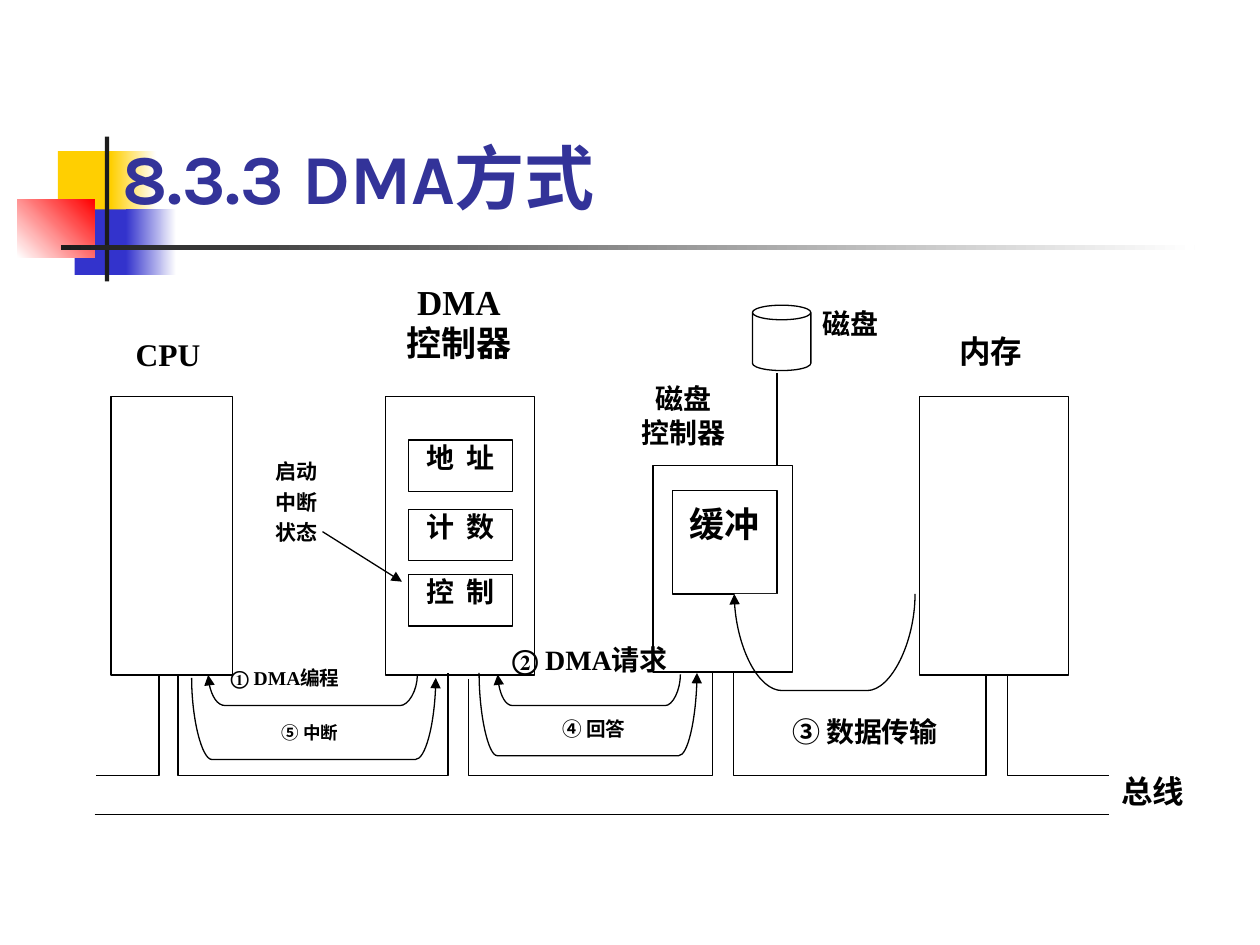
from dataclasses import dataclass
from typing import Optional

from lxml import etree
from pptx import Presentation
from pptx import util as u
from pptx.dml.color import RGBColor
from pptx.enum import shapes, text
from pptx.oxml import ns

COLORS = {"ink": "000000", "white": "FFFFFF", "title": "333399", "yellow": "FFCF01",
          "blue": "3333CC", "red": "FF0000", "bar": "1C1C1C"}
ALIGN = text.PP_ALIGN
LINE_WIDTH = 0.75


@dataclass
class Block:
    left: float
    top: float
    width: float
    height: float
    fill: Optional[str] = "white"
    outlined: bool = True
    fade_to: Optional[str] = None
    angle: float = 0
    kind: int = shapes.MSO_SHAPE.RECTANGLE


@dataclass
class Label:
    left: float
    top: float
    width: float
    height: float
    lines: tuple
    size: float
    align: int = ALIGN.CENTER
    spacing: float = 1
    space_before: float = 0
    insets: tuple = (1.5, 0.75)
    font: str = "Times New Roman"
    fill: Optional[str] = "white"
    outlined: bool = False


@dataclass
class Wire:
    points: tuple
    fill: Optional[str] = "white"


@dataclass
class Trough:
    """A U-shaped arrow with curved sides."""
    left: float
    right: float
    top: float
    bottom: float
    head: bool = False
    tail: bool = False
    fill: Optional[str] = "white"
    corner: Optional[float] = None


@dataclass
class Straight:
    start: tuple
    end: tuple
    tail: bool = False


def color(name: str) -> RGBColor:
    return RGBColor.from_string(COLORS[name])


def add_arrowheads(line, head: bool, tail: bool) -> None:
    for tag, wanted in (("a:headEnd", head), ("a:tailEnd", tail)):
        if wanted:
            etree.SubElement(line._get_or_add_ln(), ns.qn(tag), type="triangle")


def style(shape, fill: Optional[str], outlined: bool) -> None:
    shape.shadow.inherit = False
    if fill:
        shape.fill.solid()
        shape.fill.fore_color.rgb = color(fill)
    else:
        shape.fill.background()
    if outlined:
        shape.line.color.rgb = color("ink")
        shape.line.width = u.Pt(LINE_WIDTH)
    else:
        shape.line.fill.background()


def add_block(slide, block: Block):
    shape = slide.shapes.add_shape(
        block.kind, *map(u.Pt, (block.left, block.top, block.width, block.height)))
    style(shape, block.fill, block.outlined)
    if block.fade_to:
        shape.fill.gradient()
        shape.fill.gradient_angle = block.angle
        for stop, name in zip(shape.fill.gradient_stops, (block.fill, block.fade_to)):
            stop.color.rgb = color(name)
    return shape


def write_run(paragraph, words: str, font: str, size: float, name: str) -> None:
    run = paragraph.add_run()
    run.text = words
    run.font.name = font
    run.font.size = u.Pt(size)
    run.font.bold = True
    run.font.color.rgb = color(name)


def add_label(slide, label: Label) -> None:
    box = (label.left, label.top, label.width, label.height)
    if label.fill:
        shape = add_block(slide, Block(*box, label.fill, label.outlined))
    else:
        shape = slide.shapes.add_textbox(*map(u.Pt, box))
    frame = shape.text_frame
    frame.word_wrap = True
    frame.vertical_anchor = text.MSO_ANCHOR.TOP
    frame.margin_left = frame.margin_right = u.Pt(label.insets[0])
    frame.margin_top = frame.margin_bottom = u.Pt(label.insets[1])
    for index, words in enumerate(label.lines):
        paragraph = frame.add_paragraph() if index else frame.paragraphs[0]
        paragraph.alignment = label.align
        paragraph.line_spacing = label.spacing
        if index:
            paragraph.space_before = u.Pt(label.space_before)
        write_run(paragraph, words, label.font, label.size, "ink")


def add_wire(slide, wire: Wire):
    first, *rest = [tuple(map(u.Pt, point)) for point in wire.points]
    builder = slide.shapes.build_freeform(*first)
    builder.add_line_segments(rest, close=False)
    shape = builder.convert_to_shape()
    style(shape, wire.fill, True)
    return shape


def add_trough(slide, trough: Trough) -> None:
    """Draw the U lying on its side, bend its ends into Bezier curves and turn it upright."""
    middle_x = (trough.left + trough.right) / 2
    middle_y = (trough.top + trough.bottom) / 2
    corner = trough.corner or (trough.right - trough.left) / 12
    side = ((0, trough.top), (0, middle_y), (corner / 2, trough.bottom),
            (corner, trough.bottom))
    upright = ([(trough.left + x, y) for x, y in side]
               + [(trough.right - x, y) for x, y in reversed(side)])
    lying = tuple((middle_x + middle_y - y, middle_y + x - middle_x) for x, y in upright)
    shape = add_wire(slide, Wire(lying, trough.fill))
    shape.rotation = 270
    outline = shape._element.find(".//" + ns.qn("a:path"))
    steps = list(outline)
    for group in (steps[1:4], steps[5:8]):
        curve = etree.Element(ns.qn("a:cubicBezTo"))
        group[0].addprevious(curve)
        for step in group:
            curve.append(step[0])
            outline.remove(step)
    add_arrowheads(shape.line, trough.head, trough.tail)


def add_straight(slide, straight: Straight) -> None:
    connector = slide.shapes.add_connector(
        shapes.MSO_CONNECTOR.STRAIGHT, *map(u.Pt, straight.start + straight.end))
    connector.line.color.rgb = color("ink")
    connector.line.width = u.Pt(LINE_WIDTH)
    add_arrowheads(connector.line, False, straight.tail)
    etree.SubElement(connector._element.spPr, ns.qn("a:effectLst"))


DECORATION = [
    Block(33.1, 86.4, 37.5, 37.4, "yellow", False),
    Block(63.4, 86.4, 25.9, 37.4, "yellow", False, "white"),
    Block(42.6, 119.7, 33.1, 37.4, "blue", False),
    Block(72, 119.7, 28.8, 37.4, "blue", False, "white"),
    Block(10, 113.8, 44, 33.4, "white", False, "red", 45),
    Block(59.9, 78, 2.5, 82.8, "bar", False),
    Block(34.7, 140.2, 648, 2.5, "bar", False, "white"),
]
REGISTERS = [Label(233.3, top, 59.8, 29.5, (words,), 16, insets=(1.5, 0), outlined=True)
             for top, words in ((251.5, "地  址"), (291, "计  数"), (328.3, "控  制"))]
BUS_TOP = 443
DIAGRAM = [
    Label(448.6, 407.7, 91.4, 29.5, ("③ 数据传输",), 16, insets=(0, 0.75)),
    Label(67.9, 190.8, 56.2, 31, ("CPU",), 18),
    Label(229.9, 162, 64.8, 54, ("DMA", "控制器"), 20, spacing=0.96, insets=(1.5, 0)),
    Label(533.7, 188.8, 64.8, 33.1, ("内存",), 18),
    *REGISTERS,
    Label(384.3, 280.5, 59.8, 59, ("缓冲",), 20, insets=(1.5, 6.5), outlined=True),
    Block(430, 174.4, 33.4, 37.4, kind=shapes.MSO_SHAPE.CAN),
    Straight((444, 213.1), (444, 265.7)),
    Label(468.7, 174.2, 43.9, 37.4, ("磁盘",), 16, ALIGN.JUSTIFY),
    Wire(((90.9, 384.5), (90.9, BUS_TOP), (54.9, BUS_TOP))),
    Wire(((101.7, 384.5), (101.7, BUS_TOP), (256, BUS_TOP), (256, 384.5))),
    Wire(((267.7, 388), (267.7, BUS_TOP), (407, BUS_TOP), (407, 384))),
    Wire(((419, 384.5), (419, BUS_TOP), (563.5, BUS_TOP), (563.5, 384.5)), None),
    Wire(((575.7, 384.5), (575.7, BUS_TOP), (633.6, BUS_TOP))),
    Straight((54, 465.6), (633.6, 465.6)),
    Trough(109.5, 249, 387.3, 434, tail=True),
    Trough(119, 238.5, 385.7, 403.2, head=True),
    Label(140.4, 414, 73.4, 14.4, ("⑤ 中断",), 10, spacing=0.8),
    Label(284.6, 366.7, 105.1, 23, ("② DMA请求",), 16),
    Trough(284.4, 388.8, 385.4, 403.2, head=True),
    Label(639.1, 440.6, 51.1, 39.6, ("总线",), 18, ALIGN.JUSTIFY, fill=None),
    Trough(273.8, 398.3, 384.5, 431.8, tail=True, fill=None),
    Label(361.4, 217.4, 58.3, 46.8, ("磁盘", "控制器"), 16),
    Label(306.9, 411.3, 64.8, 15.1, ("④ 回答",), 11.2, spacing=0.8),
    Label(130.3, 382.6, 95.8, 15.1, ("① DMA编程",), 11.2, ALIGN.JUSTIFY, 0.8),
    Block(63.4, 226.6, 69.6, 159.1),
    Block(220.3, 226.6, 85, 159.1, None),
    Label(150.5, 258.5, 51.1, 56.9, ("启动", "中断", "状态"), 12, ALIGN.LEFT,
          space_before=3, insets=(7.2, 3.6), font="Karla", fill=None),
    Straight((184.3, 303.8), (229.7, 332.4), True),
    Trough(419.6, 522.9, 339.4, 394.6, head=True, corner=27.4),
    Block(373.1, 265.9, 79.9, 118.1, None),
    Block(525.6, 226.6, 85, 159.1),
]
DRAW = {Block: add_block, Label: add_label, Wire: add_wire, Trough: add_trough,
        Straight: add_straight}


def add_title(slide) -> None:
    title = slide.shapes.title
    title.left, title.top, title.width, title.height = map(u.Pt, (62.6, 50.4, 612, 77.8))
    frame = title.text_frame
    frame.auto_size = text.MSO_AUTO_SIZE.NONE
    frame.vertical_anchor = text.MSO_ANCHOR.BOTTOM
    frame.paragraphs[0].alignment = ALIGN.LEFT
    write_run(frame.paragraphs[0], "8.3.3 DMA方式", "Karla", 40, "title")
    slide.shapes._spTree.append(title._element)


def main() -> None:
    presentation = Presentation()
    presentation.slide_width, presentation.slide_height = u.Pt(720), u.Pt(540)
    slide = presentation.slides.add_slide(presentation.slide_layouts[5])
    for block in DECORATION:
        add_block(slide, block)
    add_title(slide)
    for item in DIAGRAM:
        DRAW[type(item)](slide, item)
    presentation.save("out.pptx")


if __name__ == "__main__":
    main()
